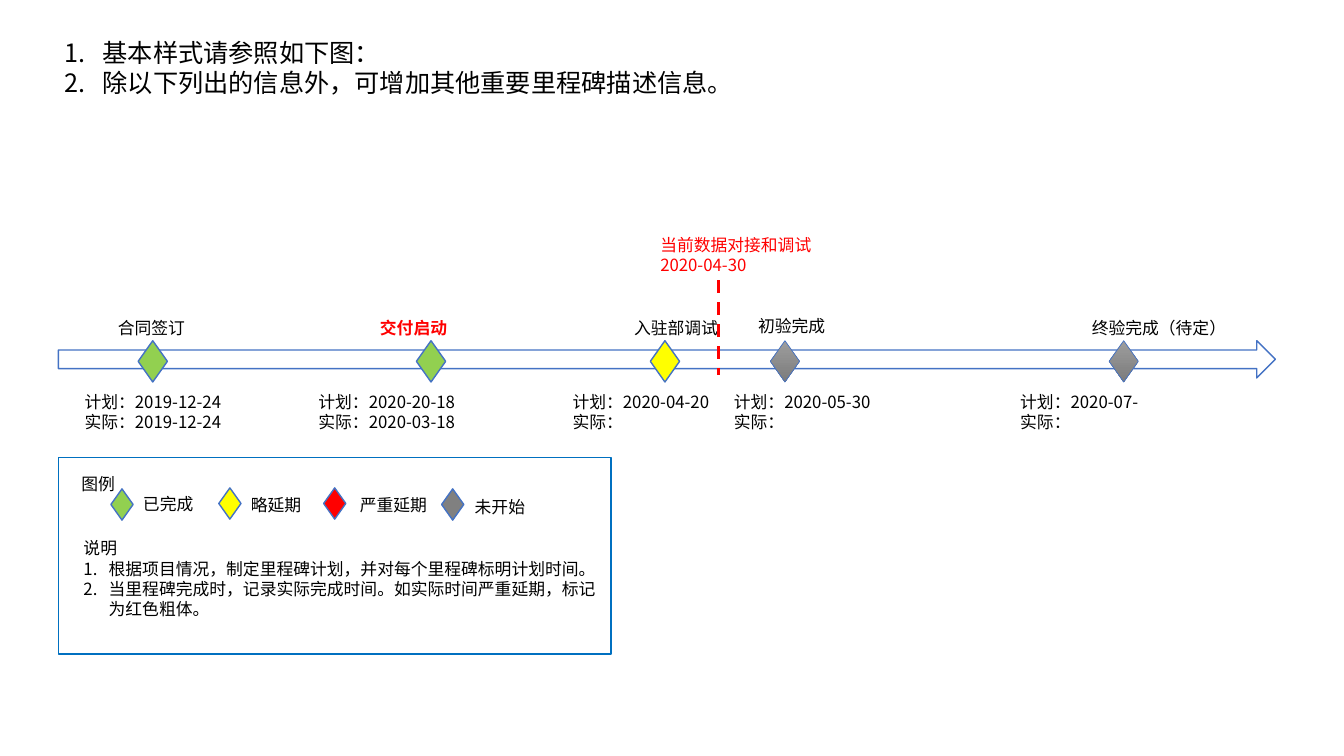
"""Build a project milestone timeline slide with a legend and notes."""
from dataclasses import dataclass

from lxml import etree
from pptx import Presentation
from pptx import util as u
from pptx.dml import color
from pptx.enum import dml, shapes, text
from pptx.oxml import ns

FONT = "Noto Sans CJK SC"
BLACK, RED, BLUE = "000000", "FF0000", "4472C4"
GREEN, YELLOW, GREY = "92D050", "FFFF00", "808080"
PENDING = ("9D9D9D", "7C7C7C")
MARKER_TOP, LABEL_TOP, DATES_TOP = 3.38, 3.1, 3.84


@dataclass
class Milestone:
    name: str
    planned: str
    actual: str
    marker_left: float
    name_left: float
    dates_left: float
    fill: str | tuple[str, str]
    late: bool = False
    name_top: float = LABEL_TOP
    name_width: float = 2.31


@dataclass
class Status:
    name: str
    fill: str
    marker_left: float
    marker_top: float
    name_left: float
    name_top: float
    name_width: float = 0.83


MILESTONES = [
    Milestone("合同签订", "2019-12-24", "2019-12-24", 1.37, 1.07, 0.74, GREEN, name_width=1.34),
    Milestone("交付启动", "2020-20-18", "2020-03-18", 4.13, 3.67, 3.06, GREEN, late=True, name_width=1.45),
    Milestone("入驻部调试", "2020-04-20", "", 6.45, 6.19, 5.58, YELLOW),
    Milestone("初验完成", "2020-05-30", "", 7.64, 7.42, 7.18, PENDING, name_top=3.08),
    Milestone("终验完成（待定）", "2020-07-", "", 11, 10.73, 10.02, PENDING),
]
STATUSES = [
    Status("已完成", GREEN, 1.1, 4.85, 1.32, 4.85),
    Status("略延期", YELLOW, 2.17, 4.84, 2.39, 4.86),
    Status("严重延期", RED, 3.21, 4.84, 3.47, 4.86, 1.08),
    Status("未开始", GREY, 4.38, 4.85, 4.61, 4.88, 1.02),
]


def rgb(value: str) -> color.RGBColor:
    return color.RGBColor.from_string(value)


def add_outline(slide, kind, left: float, top: float, width: float, height: float,
                line: str = BLUE, weight: float = 1):
    outline = slide.shapes.add_shape(
        kind, u.Inches(left), u.Inches(top), u.Inches(width), u.Inches(height))
    outline.shadow.inherit = False
    outline.fill.background()
    outline.line.color.rgb = rgb(line)
    outline.line.width = u.Pt(weight)
    return outline


def add_marker(slide, left: float, top: float, width: float, height: float,
               fill: str | tuple[str, str]) -> None:
    shaded = isinstance(fill, tuple)
    marker = add_outline(slide, shapes.MSO_SHAPE.FLOWCHART_DECISION,
                         left, top, width, height, weight=0.5 if shaded else 1)
    if shaded:
        marker.fill.gradient()
        marker.fill.gradient_angle = 270
        for stop, shade in zip(marker.fill.gradient_stops, fill):
            stop.color.rgb = rgb(shade)
    else:
        marker.fill.solid()
        marker.fill.fore_color.rgb = rgb(fill)


def number_paragraph(paragraph, indent: float) -> None:
    properties = paragraph._p.get_or_add_pPr()
    properties.set("marL", str(u.Inches(indent)))
    properties.set("indent", str(-u.Inches(indent)))
    etree.SubElement(properties, ns.qn("a:buAutoNum"), type="arabicPeriod")


def add_text(slide, left: float, top: float, width: float, height: float, lines: list[str],
             size: int = 12, ink: str = BLACK, bold: bool = False,
             indent: float = 0, first_numbered: int = 0) -> None:
    box = slide.shapes.add_textbox(
        u.Inches(left), u.Inches(top), u.Inches(width), u.Inches(height))
    frame = box.text_frame
    frame.word_wrap = True
    frame.auto_size = text.MSO_AUTO_SIZE.SHAPE_TO_FIT_TEXT
    for index, line in enumerate(lines):
        paragraph = frame.paragraphs[0] if index == 0 else frame.add_paragraph()
        paragraph.line_spacing = u.Pt(size * 1.2)
        if indent and index >= first_numbered:
            number_paragraph(paragraph, indent)
        run = paragraph.add_run()
        run.text = line
        run.font.name = FONT
        run.font.size = u.Pt(size)
        run.font.bold = bold
        run.font.color.rgb = rgb(ink)
        etree.SubElement(run._r.get_or_add_rPr(), ns.qn("a:ea"), typeface=FONT)


def add_today_line(slide, x: float, top: float, bottom: float) -> None:
    today = slide.shapes.add_connector(
        shapes.MSO_CONNECTOR.STRAIGHT, u.Inches(x), u.Inches(top), u.Inches(x), u.Inches(bottom))
    today.line.color.rgb = rgb(RED)
    today.line.width = u.Pt(2.25)
    today.line.dash_style = dml.MSO_LINE.DASH
    etree.SubElement(today._element.spPr, ns.qn("a:effectLst"))


def add_timeline(slide) -> None:
    add_outline(slide, shapes.MSO_SHAPE.RIGHT_ARROW, 0.58, MARKER_TOP, 12.07, 0.37)
    for stone in MILESTONES:
        add_marker(slide, stone.marker_left, MARKER_TOP, 0.29, 0.41, stone.fill)
        add_text(slide, stone.name_left, stone.name_top, stone.name_width, 0.3, [stone.name],
                 ink=RED if stone.late else BLACK, bold=stone.late)
        add_text(slide, stone.dates_left, DATES_TOP, 2.31, 0.5,
                 [f"计划：{stone.planned}", f"实际：{stone.actual}"])
    add_today_line(slide, 7.13, 2.78, 3.72)
    add_text(slide, 6.45, 2.28, 2.31, 0.5, ["当前数据对接和调试", "2020-04-30"], ink=RED)


def add_legend(slide) -> None:
    add_outline(slide, shapes.MSO_SHAPE.RECTANGLE, 0.58, 4.54, 5.48, 1.95, line="0070C0")
    add_text(slide, 0.71, 4.65, 0.56, 0.3, ["图例"])
    for status in STATUSES:
        add_marker(slide, status.marker_left, status.marker_top, 0.22, 0.31, status.fill)
        add_text(slide, status.name_left, status.name_top, status.name_width, 0.3, [status.name])
    add_text(slide, 0.73, 5.29, 5.33, 0.91, [
        "说明",
        "根据项目情况，制定里程碑计划，并对每个里程碑标明计划时间。",
        "当里程碑完成时，记录实际完成时间。如实际时间严重延期，标记为红色粗体。",
    ], indent=0.25, first_numbered=1)


def main() -> None:
    deck = Presentation()
    deck.slide_width, deck.slide_height = u.Inches(13.33), u.Inches(7.5)
    slide = deck.slides.add_slide(deck.slide_layouts[6])
    add_text(slide, 0.54, 0.32, 12.15, 0.71, [
        "基本样式请参照如下图：",
        "除以下列出的信息外，可增加其他重要里程碑描述信息。",
    ], size=18, indent=0.38)
    add_timeline(slide)
    add_legend(slide)
    deck.save("out.pptx")


if __name__ == "__main__":
    main()
